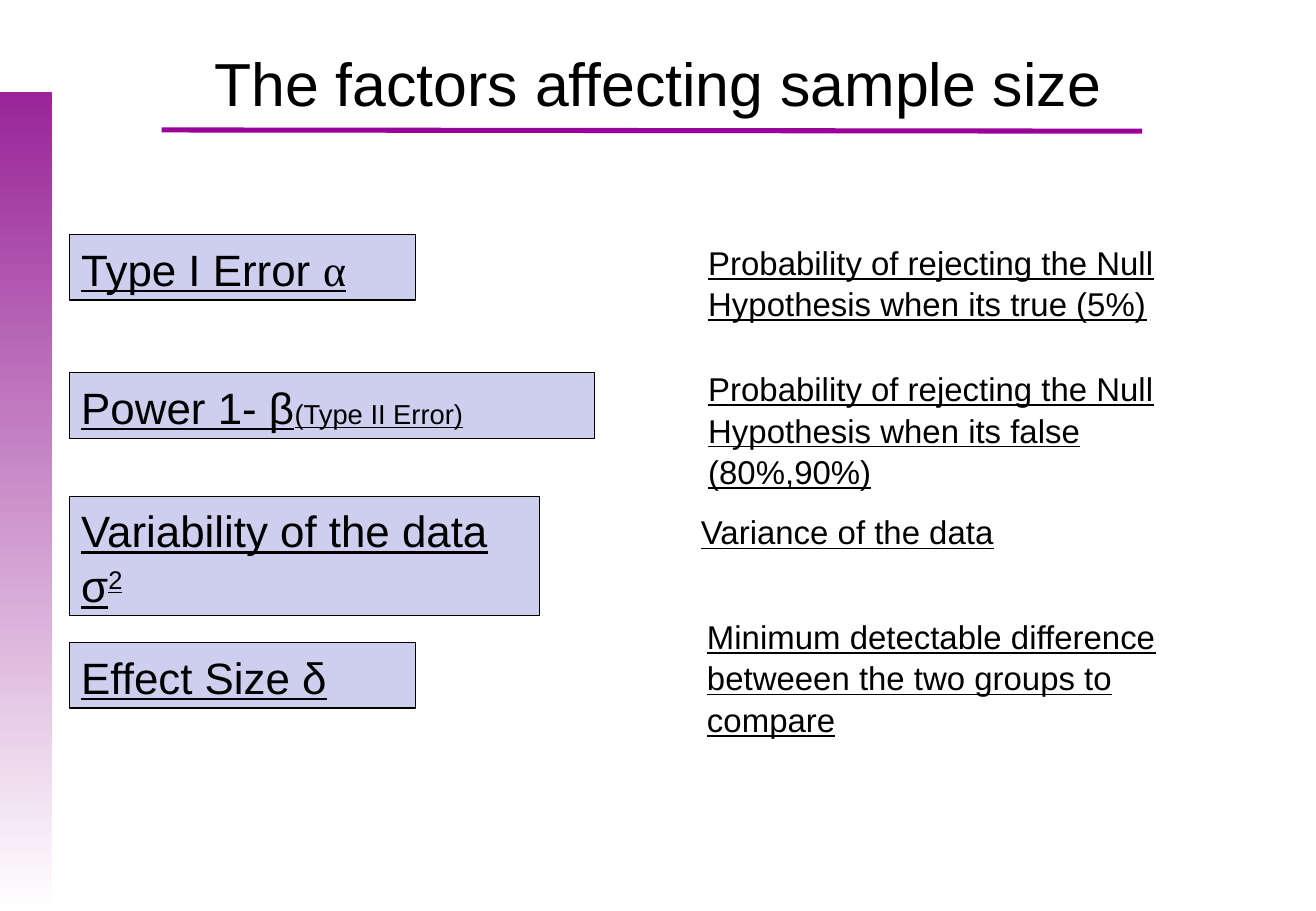
from pptx import Presentation
from pptx.dml.color import RGBColor
from pptx.enum.shapes import MSO_CONNECTOR, MSO_SHAPE
from pptx.enum.text import PP_ALIGN
from pptx.oxml.ns import qn
from pptx.util import Inches, Pt
from lxml import etree


def color(value):
    return RGBColor.from_string(value)


def write(para, text, size=26, font="Arial", underline=True, baseline=None):
    span = para.add_run()
    span.text = text
    span.font.size = Pt(size)
    span.font.name = font
    span.font.underline = underline
    span.font.color.rgb = color("000000")
    if baseline:
        span.font._element.set("baseline", str(baseline * 1000))


deck = Presentation()
deck.slide_width, deck.slide_height = Inches(10.83), Inches(7.5)
page = deck.slides.add_slide(deck.slide_layouts[6])
shapes = page.shapes

band = shapes.add_shape(MSO_SHAPE.RECTANGLE, 0, Inches(0.76), Inches(0.43), Inches(6.74))
band.shadow.inherit = False
band.line.fill.background()
band.fill.gradient()
band.fill.gradient_angle = 270
for stop, shade, position in zip(band.fill.gradient_stops, ["992598", "FFFFFF"], [0, 1]):
    stop.color.rgb = color(shade)
    stop.position = position

rule = shapes.add_connector(
    MSO_CONNECTOR.STRAIGHT, Inches(1.33), Inches(1.07), Inches(9.4), Inches(1.08))
rule.line.color.rgb = color("990099")
rule.line.width = Pt(3)
etree.SubElement(rule._element.spPr, qn("a:effectLst"))

factors = [
    (1.93, 2.85, 0.54, [("Type I Error ", {}), ("α", {"font": "Times New Roman"})]),
    (3.07, 4.32, 0.54, [("Power 1- β", {}), ("(Type II Error)", {"size": 16.2})]),
    (4.09, 3.87, 0.98, [("Variability of the data σ", {}), ("2", {"baseline": 30})]),
    (5.29, 2.85, 0.54, [("Effect Size δ", {})]),
]
for top, width, height, spans in factors:
    box = shapes.add_shape(
        MSO_SHAPE.RECTANGLE, Inches(0.57), Inches(top), Inches(width), Inches(height))
    box.shadow.inherit = False
    box.fill.solid()
    box.fill.fore_color.rgb = color("CECEEF")
    box.line.color.rgb = color("000000")
    box.line.width = Pt(0.75)
    box.text_frame.word_wrap = True
    para = box.text_frame.paragraphs[0]
    para.alignment = PP_ALIGN.LEFT
    para.line_spacing = 1.05
    for text, style in spans:
        write(para, text, **style)

meanings = [
    (5.73, 1.93, 0.76, "Probability of rejecting the Null Hypothesis when its true (5%)"),
    (5.73, 2.97, 1.09, "Probability of rejecting the Null Hypothesis when its false (80%,90%)"),
    (5.67, 4.15, 0.43, "Variance of the data"),
    (5.72, 5.01, 1.09, "Minimum detectable difference betweeen the two groups to compare"),
]
for left, top, height, text in meanings:
    box = shapes.add_textbox(Inches(left), Inches(top), Inches(4.34), Inches(height))
    box.text_frame.word_wrap = True
    para = box.text_frame.paragraphs[0]
    para.line_spacing = 1.05
    write(para, text, size=19.5)

title = shapes.add_textbox(Inches(0.54), Inches(0.3), Inches(9.75), Inches(1.25))
title.text_frame.word_wrap = True
para = title.text_frame.paragraphs[0]
para.alignment = PP_ALIGN.CENTER
para.line_spacing = 1.05
write(para, "The factors affecting sample size", size=36, underline=False)

deck.save("out.pptx")
